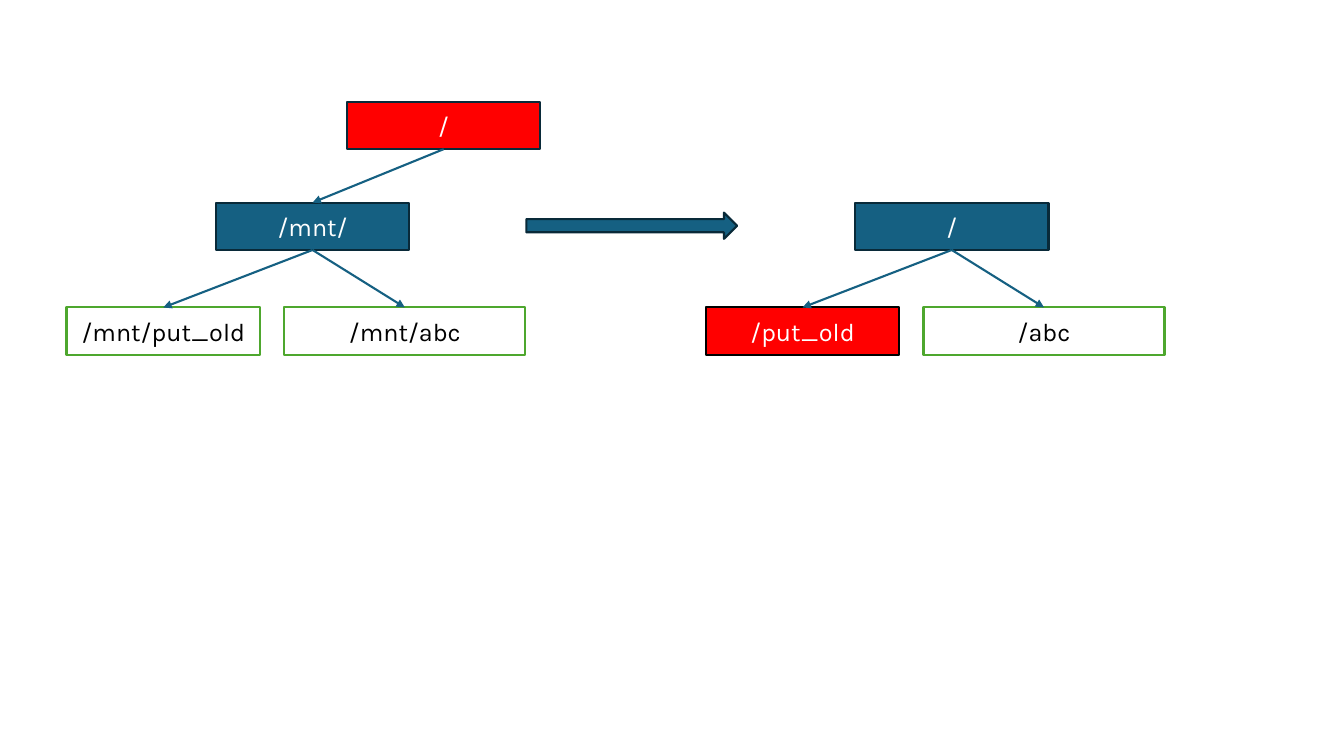
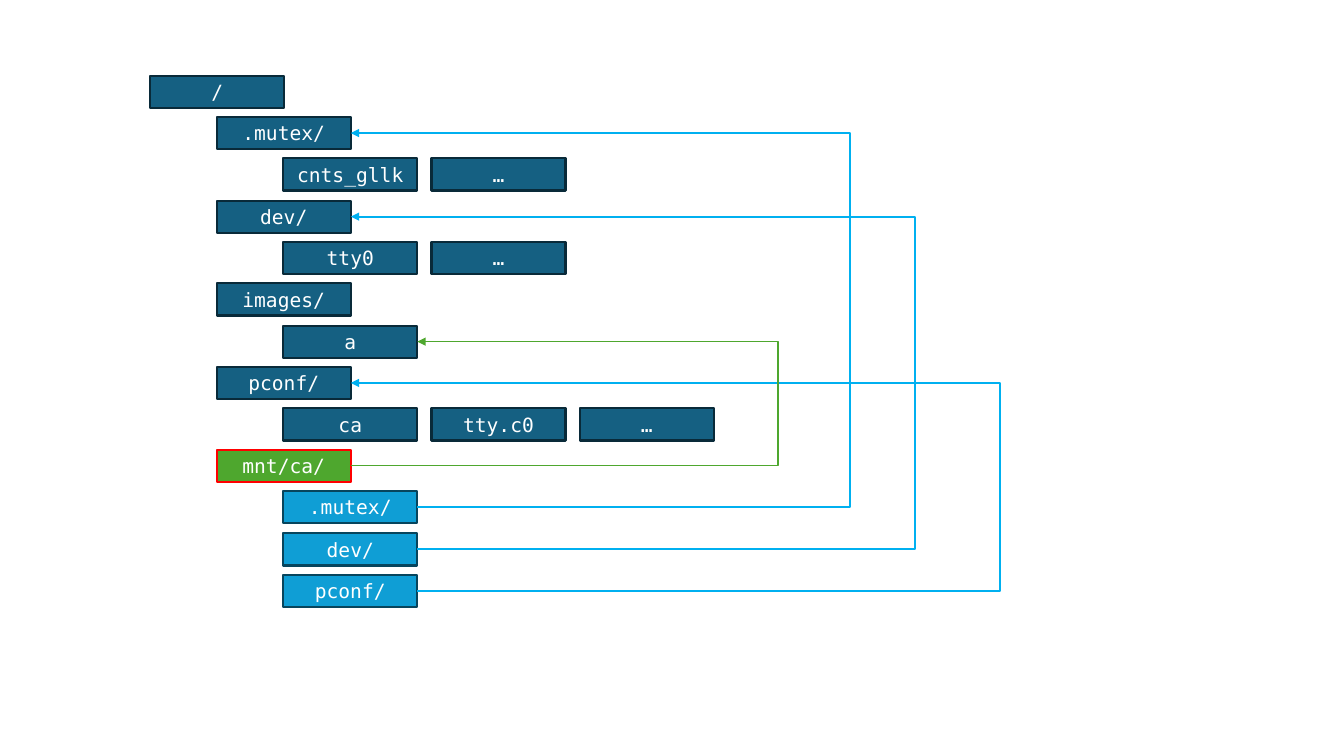
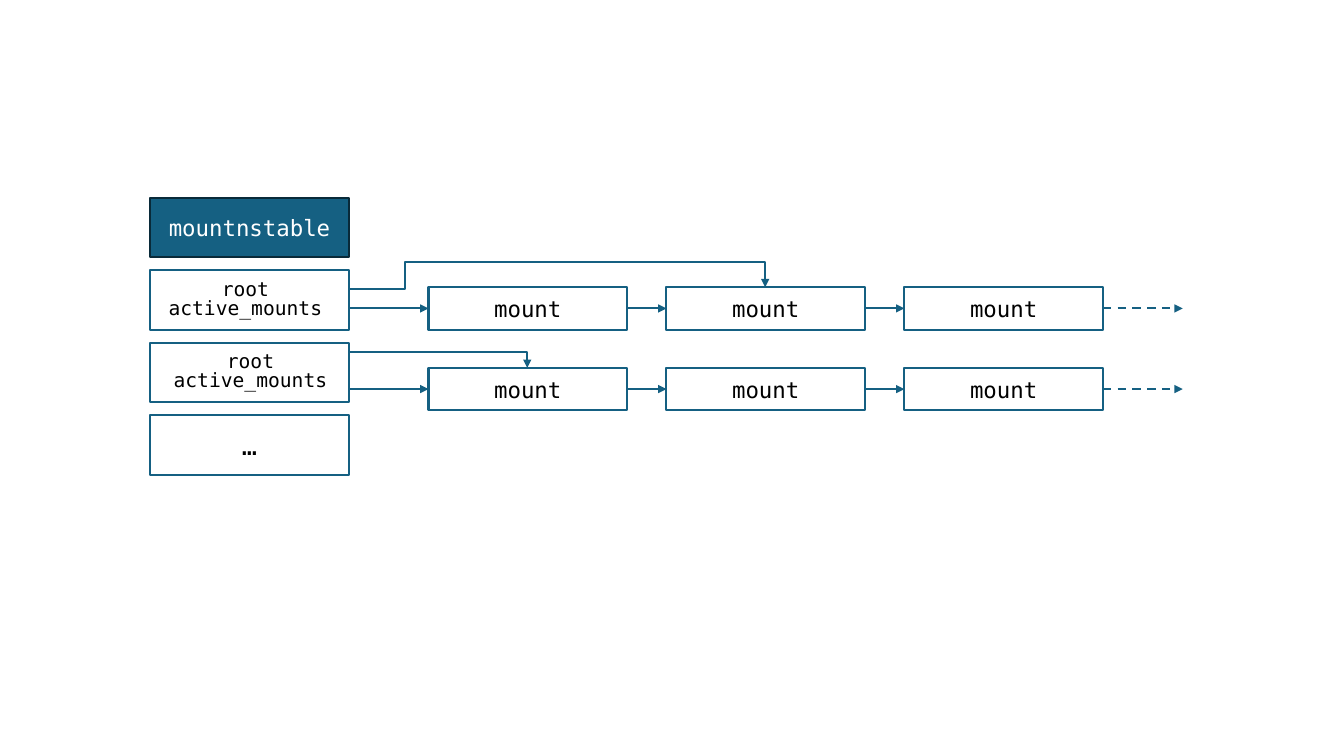
from lxml.etree import SubElement
from pptx import Presentation
from pptx.dml.color import RGBColor
from pptx.enum.dml import MSO_LINE_DASH_STYLE as Dash
from pptx.enum.shapes import MSO_CONNECTOR as Link, MSO_SHAPE as Preset
from pptx.enum.text import MSO_AUTO_SIZE as Fit, PP_ALIGN as Align
from pptx.oxml.ns import qn
from pptx.util import Emu, Pt

COLORS = {
    "white": "FFFFFF", "black": "000000", "red": "FF0000",
    "teal": "156082", "ink": "092A39", "green": "4EA72E",
    "blue": "0F9ED5", "navy": "07455D", "sky": "00B0F0",
}
STYLES = {
    "plain": ("teal", "ink", "white"),
    "old_root": ("red", "ink", "white"),
    "put_old": ("red", "black", "white"),
    "leaf": ("white", "green", "black"),
    "mounted": ("green", "red", "white"),
    "bound": ("blue", "navy", "white"),
    "outline": ("white", "teal", "black"),
}
SANS, MONO = "Karla", "DejaVu Sans Mono"
TOP, LEFT, BOTTOM, RIGHT = range(4)
PX = 9144

DIRECTORY_ROWS = [
    (0, ["/"], "plain"),
    (1, [".mutex/"], "plain"),
    (2, ["cnts_gllk", "…"], "plain"),
    (1, ["dev/"], "plain"),
    (2, ["tty0", "…"], "plain"),
    (1, ["images/"], "plain"),
    (2, ["a"], "plain"),
    (1, ["pconf/"], "plain"),
    (2, ["ca", "tty.c0", "…"], "plain"),
    (1, ["mnt/ca/"], "mounted"),
    (2, [".mutex/"], "bound"),
    (2, ["dev/"], "bound"),
    (2, ["pconf/"], "bound"),
]
BINDINGS = [
    (10, 1, 694, "sky", 1.5),
    (11, 3, 759, "sky", 1.5),
    (12, 7, 843, "sky", 1.5),
    (9, 6, 623, "green", 1),
]


def px(*lengths):
    """Turn lengths in px into EMU."""
    return [Emu(length * PX) for length in lengths]


def color(name):
    """Look up a palette colour."""
    return RGBColor.from_string(COLORS[name])


def set_text(frame, text, font, size, ink):
    """Fill a text frame with centred paragraphs of one font."""
    frame.text = text
    for para in frame.paragraphs:
        para.alignment = Align.CENTER
        para.font.name, para.font.size = font, Pt(size)
        para.font.color.rgb = color(ink)


def add_box(page, area, style, text="", font=MONO, size=16, preset=Preset.RECTANGLE):
    """Add an outlined shape with an optional label."""
    fill, line, ink = STYLES[style]
    box = page.shapes.add_shape(preset, *px(*area))
    box.shadow.inherit = False
    box.fill.solid()
    box.fill.fore_color.rgb = color(fill)
    box.line.color.rgb = color(line)
    box.line.width = Pt(1.5)
    if text:
        set_text(box.text_frame, text, font, size, ink)
    return box


def add_arrow(page, start, end, ink="teal", width=1.5, kind=Link.STRAIGHT, dashed=False):
    """Add a connector with a triangle at its end."""
    arrow = page.shapes.add_connector(kind, *px(*start, *end))
    arrow.line.color.rgb = color(ink)
    arrow.line.width = Pt(width)
    if dashed:
        arrow.line.dash_style = Dash.DASH
    outline = arrow.element.spPr
    SubElement(outline.find(qn("a:ln")), qn("a:tailEnd"), type="triangle")
    SubElement(outline, qn("a:effectLst"))
    return arrow


def add_elbow(page, start, end, preset, bends=(), **look):
    """Add a bent arrow whose bends are px positions, x first and then y."""
    arrow = add_arrow(page, start, end, kind=Link.ELBOW, **look)
    shape = arrow.element.spPr.find(qn("a:prstGeom"))
    shape.set("prst", preset)
    guides = shape.find(qn("a:avLst"))
    for index, bend in enumerate(bends):
        ratio = (bend - start[index]) / (end[index] - start[index])
        SubElement(guides, qn("a:gd"), name=f"adj{index + 1}",
                   fmla=f"val {round(ratio * 100000)}")


def join(page, source, source_side, target, target_side):
    """Join the sides of two boxes with an arrow."""
    arrow = add_arrow(page, (0, 0), (1, 1))
    arrow.begin_connect(source, source_side)
    arrow.end_connect(target, target_side)


def mount_tree(page, left, top, branch, old, leaf):
    """Draw a directory with its two children and return its box."""
    places = [(148, 0, 192), (0, 104, 192), (216, 104, 239)]
    boxes = [
        add_box(page, (left + x, top + y, width, 47), style, text, SANS, 18)
        for (x, y, width), (text, style) in zip(places, [branch, old, leaf])
    ]
    for child in boxes[1:]:
        join(page, boxes[0], BOTTOM, child, TOP)
    return boxes[0]


def pivot_page(page, left=66, top=201):
    """Show the mount tree before and after the root is swapped."""
    root = add_box(page, (left + 278, top - 100, 192, 47), "old_root", "/", SANS, 18)
    branch = mount_tree(page, left, top, ("/mnt/", "plain"),
                        ("/mnt/put_old", "leaf"), ("/mnt/abc", "leaf"))
    join(page, root, BOTTOM, branch, TOP)
    mount_tree(page, left + 634, top, ("/", "plain"),
               ("/put_old", "put_old"), ("/abc", "leaf"))
    add_box(page, (left + 456, top + 10, 209, 26), "plain", preset=Preset.RIGHT_ARROW)


def directory_page(page, left=149, top=75):
    """Show the directory tree and its bind mounts."""
    width, height, indent, step = 133, 32, 66, 147
    tops = [top + round(row * 41.25) for row in range(len(DIRECTORY_ROWS))]
    for y, (depth, names, style) in zip(tops, DIRECTORY_ROWS):
        for column, name in enumerate(names):
            x = left + depth * indent + column * step
            add_box(page, (x, y, width, height), style, name, size=14)

    def right_side(row):
        """Return the middle of the right side of a row's first box."""
        return left + DIRECTORY_ROWS[row][0] * indent + width, tops[row] + height // 2

    for source, target, bend, ink, weight in BINDINGS:
        add_elbow(page, right_side(source), right_side(target), "bentConnector3",
                  [left + bend], ink=ink, width=weight)


def mount_chain(page, left, top):
    """Draw three linked mounts with an arrow in and a dashed arrow out."""
    width, height, gap, reach = 197, 42, 39, 79
    middle = top + height // 2
    boxes = [
        add_box(page, (left + index * (width + gap), top, width, height), "outline", "mount")
        for index in range(3)
    ]
    for source, target in zip(boxes, boxes[1:]):
        join(page, source, RIGHT, target, LEFT)
    entry = add_arrow(page, (left - reach, middle), (left, middle))
    entry.end_connect(boxes[0], LEFT)
    end = left + 3 * width + 2 * gap
    leaving = add_arrow(page, (end, middle), (end + reach, middle), dashed=True)
    leaving.begin_connect(boxes[-1], RIGHT)


def slot_label(page, left, top):
    """Write the two field names of a table slot."""
    label = page.shapes.add_textbox(*px(left, top, 223, 49))
    frame = label.text_frame
    frame.word_wrap = True
    frame.auto_size = Fit.SHAPE_TO_FIT_TEXT
    set_text(frame, "root\nactive_mounts", MONO, 14, "black")
    for para in frame.paragraphs:
        para.line_spacing = Pt(13.5)


def table_page(page, left=149, top=196):
    """Show the mount table with the chain of each slot."""
    width, height, step = 197, 59, 72
    slots = [("mountnstable", "plain", 16), ("", "outline", 16),
             ("", "outline", 16), ("…", "outline", 18)]
    for row, (text, style, size) in enumerate(slots):
        add_box(page, (left, top + row * step, width, height), style, text, size=size)
    edge, chain = left + width, left + 276
    for y in (top + 89, top + 169):
        mount_chain(page, chain, y)
    add_elbow(page, (edge, top + 91), (chain + 334, top + 89), "bentConnector4",
              [edge + 56, top + 64])
    add_elbow(page, (edge, top + 153), (chain + 98, top + 169), "bentConnector2")
    slot_label(page, left - 17, top + 78)
    slot_label(page, left - 12, top + 150)


def main():
    """Build and save the deck."""
    deck = Presentation()
    deck.slide_width, deck.slide_height = px(1333, 750)
    for draw in (pivot_page, directory_page, table_page):
        draw(deck.slides.add_slide(deck.slide_layouts[6]))
    deck.save("out.pptx")


if __name__ == "__main__":
    main()
